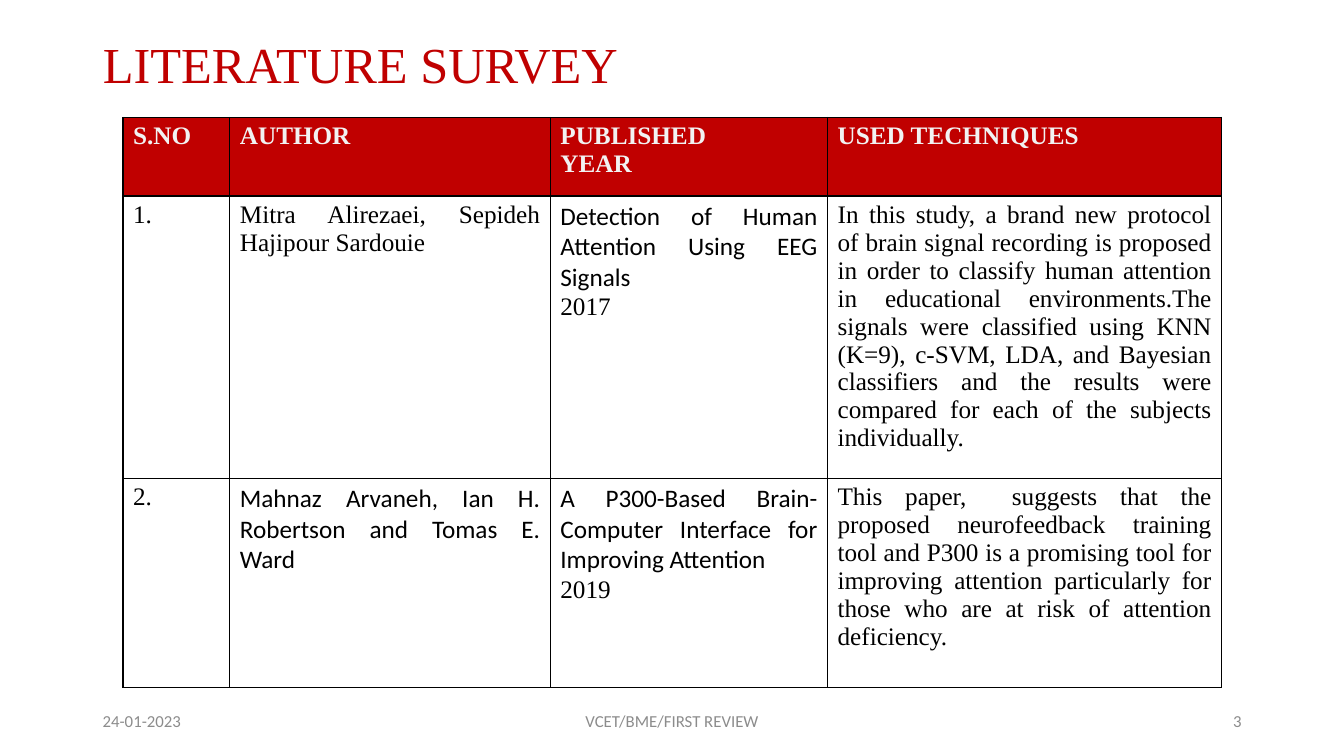
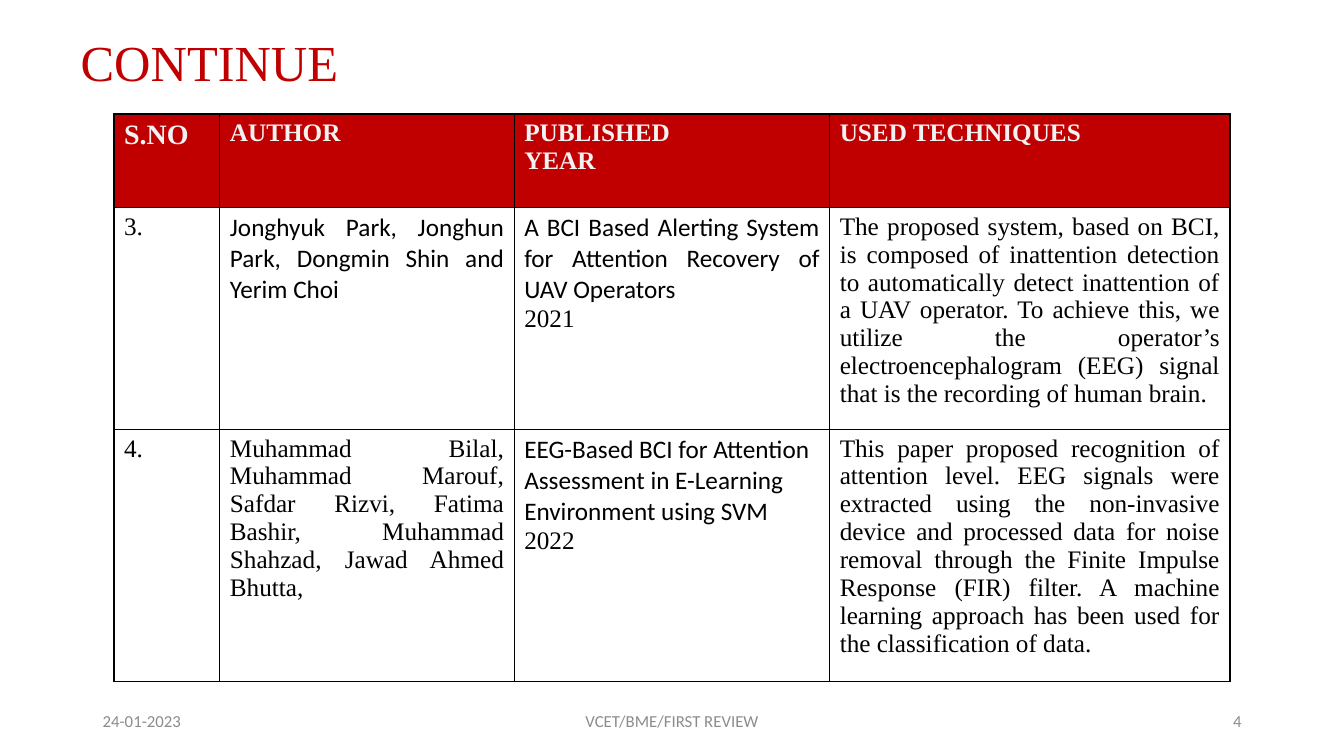
from dataclasses import dataclass

from lxml import etree
from pptx import Presentation
from pptx import util as u
from pptx.dml.color import RGBColor
from pptx.enum import text
from pptx.oxml.ns import qn

COLORS = {"red": "C00000", "pale": "F2F2F2", "black": "000000",
          "grey": "8C8C8C"}
SERIF, SANS = "Times New Roman", "Calibri"
LEFT, CENTER, RIGHT, JUSTIFY = (
    text.PP_ALIGN.LEFT, text.PP_ALIGN.CENTER,
    text.PP_ALIGN.RIGHT, text.PP_ALIGN.JUSTIFY)
WIDTH, HEIGHT = u.Inches(13.33), u.Inches(7.5)
BORDER = u.Pt(1)

# Footer parts: left and width in percent of the slide, alignment
FOOTER = [(6.9, 22.5, LEFT), (33.13, 33.75, CENTER), (70.63, 22.5, RIGHT)]
FOOTER_TOP, FOOTER_HEIGHT = 92.67, 5.33
DATE, REVIEW = "24-01-2023", "VCET/BME/FIRST REVIEW"
HEADERS = [["S.NO"], ["AUTHOR"], ["PUBLISHED", "YEAR"], ["USED TECHNIQUES"]]


@dataclass
class Para:
    words: str
    font: str = SERIF
    align: text.PP_ALIGN = JUSTIFY


def px(share):
    """Percent of the slide width."""
    return round(WIDTH * share / 100)


def py(share):
    """Percent of the slide height."""
    return round(HEIGHT * share / 100)


def style(p, size, color, font=SERIF, align=LEFT, bold=False):
    p.alignment = align
    p.font.size = u.Pt(size)
    p.font.name = font
    p.font.bold = bold
    p.font.color.rgb = RGBColor.from_string(COLORS[color])


def add_title(s, words, left, top):
    sp = s.shapes.title
    sp.left, sp.top, sp.width, sp.height = (
        px(left), py(top), px(86.25), py(19.33))
    tf = sp.text_frame
    tf.text = words
    tf.word_wrap = True
    tf.auto_size = text.MSO_AUTO_SIZE.NONE
    tf.vertical_anchor = text.MSO_ANCHOR.MIDDLE
    p = tf.paragraphs[0]
    p.line_spacing = 0.9
    style(p, 36, "red")


def add_footer(s, number):
    for words, (left, width, align) in zip((DATE, REVIEW, str(number)), FOOTER):
        sp = s.shapes.add_textbox(px(left), py(FOOTER_TOP),
                                  px(width), py(FOOTER_HEIGHT))
        tf = sp.text_frame
        tf.text = words
        tf.word_wrap = True
        tf.vertical_anchor = text.MSO_ANCHOR.MIDDLE
        style(tf.paragraphs[0], 12, "grey", SANS, align)


def add_borders(cell):
    tc_pr = cell._tc.get_or_add_tcPr()
    for side in ("a:lnL", "a:lnR", "a:lnT", "a:lnB"):
        ln = etree.SubElement(tc_pr, qn(side), w=str(int(BORDER)))
        fill = etree.SubElement(ln, qn("a:solidFill"))
        etree.SubElement(fill, qn("a:srgbClr"), val=COLORS["black"])


def cell_paragraphs(cell, count):
    tf = cell.text_frame
    for _ in range(count - 1):
        tf.add_paragraph()
    return tf.paragraphs


def fill_header(cell, lines, size):
    add_borders(cell)
    cell.fill.solid()
    cell.fill.fore_color.rgb = RGBColor.from_string(COLORS["red"])
    for p, line in zip(cell_paragraphs(cell, len(lines)), lines):
        p.text = line
        style(p, size, "pale", bold=True)


def fill_body(cell, paras):
    add_borders(cell)
    cell.fill.background()
    for p, para in zip(cell_paragraphs(cell, len(paras)), paras):
        p.text = para.words
        style(p, 18, "black", para.font, para.align)


def add_survey(s, left, top, cols, rows, papers, number_size=18):
    table = s.shapes.add_table(len(rows), len(cols), px(left), py(top),
                               px(sum(cols)), py(sum(rows))).table
    for col, share in zip(table.columns, cols):
        col.width = px(share)
    for row, share in zip(table.rows, rows):
        row.height = py(share)
    for c, lines in enumerate(HEADERS):
        fill_header(table.cell(0, c), lines, 18 if c else number_size)
    for r, (number, author, paper, year, technique) in enumerate(papers, 1):
        cells = [[Para(number)], [author], [paper, Para(year)],
                 [Para(technique)]]
        for c, paras in enumerate(cells):
            fill_body(table.cell(r, c), paras)


# Papers: number, author, paper, year, techniques
FIRST_PAPERS = [
    ("1.", Para("Mitra Alirezaei, Sepideh Hajipour Sardouie"),
     Para("Detection of Human Attention Using EEG Signals", SANS), "2017",
     "In this study, a brand new protocol of brain signal recording is "
     "proposed in order to classify human attention in educational "
     "environments.The signals were classified using KNN (K=9), c-SVM, LDA, "
     "and Bayesian classifiers and the results were compared for each of the "
     "subjects individually."),
    ("2.", Para("Mahnaz Arvaneh, Ian H. Robertson and Tomas E. Ward", SANS),
     Para("A P300-Based Brain-Computer Interface for Improving Attention",
          SANS), "2019",
     "This paper,  suggests that the proposed neurofeedback training tool and "
     "P300 is a promising tool for improving attention particularly for those "
     "who are at risk of attention deficiency."),
]
MORE_PAPERS = [
    ("3.", Para("Jonghyuk Park, Jonghun Park, Dongmin Shin and Yerim Choi",
                SANS),
     Para("A BCI Based Alerting System for Attention Recovery of UAV "
          "Operators", SANS), "2021",
     "The proposed system, based on BCI, is composed of inattention detection "
     "to automatically detect inattention of a UAV operator. To achieve this, "
     "we utilize the operator’s electroencephalogram (EEG) signal that is the "
     "recording of human brain."),
    ("4.", Para("Muhammad Bilal, Muhammad Marouf, Safdar Rizvi, Fatima "
                "Bashir, Muhammad Shahzad, Jawad Ahmed Bhutta,"),
     Para("EEG-Based BCI for Attention Assessment in E-Learning Environment "
          "using SVM", SANS, LEFT), "2022",
     "This paper proposed recognition of attention level. EEG signals were "
     "extracted using the non-invasive device and processed data for noise "
     "removal through the Finite Impulse Response (FIR) filter. A machine "
     "learning approach has been used for the classification of data."),
]


def add_slide(prs, title, left, top, number):
    s = prs.slides.add_slide(prs.slide_layouts[5])
    add_title(s, title, left, top)
    add_footer(s, number)
    return s


def main():
    prs = Presentation()
    prs.slide_width, prs.slide_height = WIDTH, HEIGHT

    # Literature survey
    s = add_slide(prs, "LITERATURE SURVEY", 6.9, -0.8, 3)
    add_survey(s, 9.15, 15.53, [7.95, 23.85, 20.63, 29.33],
               [10.4, 34.53, 27.73], FIRST_PAPERS)

    # Survey continued
    s = add_slide(prs, "CONTINUE", 5.25, -1.07, 4)
    add_survey(s, 8.48, 15.07, [7.88, 21.9, 23.48, 29.78],
               [12.4, 27.1, 30.9], MORE_PAPERS, number_size=20)

    prs.save("out.pptx")


if __name__ == "__main__":
    main()
